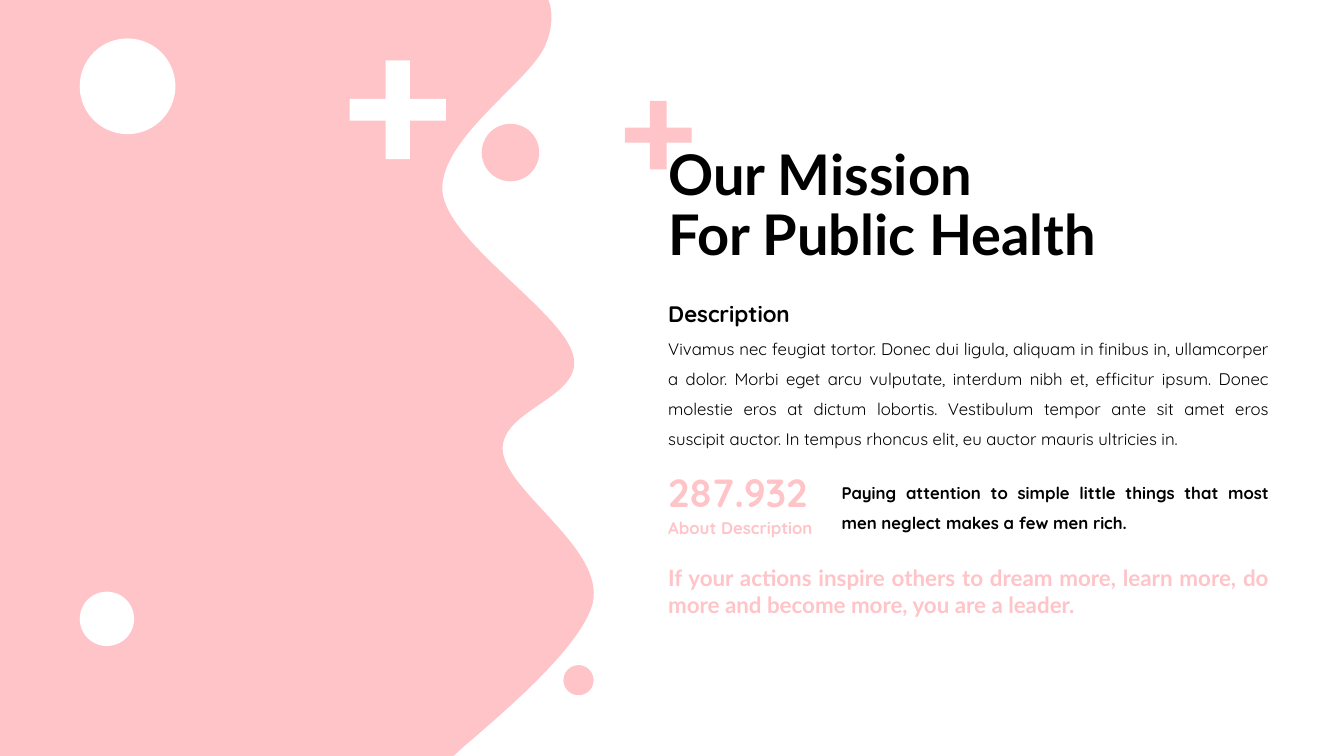
"""Build the public health mission slide."""
from pptx import Presentation
from pptx.dml.color import RGBColor
from pptx.enum.shapes import MSO_SHAPE
from pptx.enum.text import MSO_ANCHOR, MSO_AUTO_SIZE, PP_ALIGN
from pptx.oxml.ns import qn
from pptx.util import Cm, Pt

PINK = RGBColor(0xFF, 0xC4, 0xC8)
WHITE = RGBColor(0xFF, 0xFF, 0xFF)
BLACK = RGBColor(0, 0, 0)
LEFT = 16.59
CORNERS = [(0, 19.05), (0, 0), (13.82, 0), (13.87, 0.15)]
CURVES = [
    (13.92, 0.41), (13.92, 0.76), (13.72, 1.19),
    (13.31, 2.08), (11.05, 3.53), (11.15, 4.83),
    (11.28, 6.12), (14.2, 7.87), (14.45, 8.97),
    (14.71, 10.03), (12.6, 10.31), (12.67, 11.35),
    (12.75, 12.4), (15.24, 13.82), (14.94, 15.19),
    (14.68, 16.23), (12.9, 17.78), (11.68, 18.82),
]
FOOT = (11.43, 19.05)


def paint(shape, color):
    shape.shadow.inherit = False
    shape.fill.solid()
    shape.fill.fore_color.rgb = color
    shape.line.fill.background()


def add_path(slide, points, color):
    spots = [(Cm(x), Cm(y)) for x, y in points]
    pen = slide.shapes.build_freeform(*spots[0])
    pen.add_line_segments(spots[1:], close=True)
    shape = pen.convert_to_shape()
    paint(shape, color)
    return shape


def add_wave(slide):
    wave = add_path(slide, CORNERS + CURVES + [FOOT], PINK)
    lines = wave.element.xpath(".//a:lnTo")
    first = len(CORNERS) - 1
    for start in range(first, first + len(CURVES), 3):
        curve, *rest = lines[start:start + 3]
        curve.tag = qn("a:cubicBezTo")
        for line in rest:
            curve.append(line[0])
            line.getparent().remove(line)
    wave.width = Cm(14.96)
    wave.element.xpath(".//a:path")[0].set("w", str(wave.width))


def add_plus(slide, left, top, width, height, color):
    x1, x2 = left + width * 0.375, left + width * 0.625
    y1, y2 = top + height * 0.39, top + height * 0.61
    right, base = left + width, top + height
    points = [
        (x1, top), (x2, top), (x2, y1), (right, y1), (right, y2), (x2, y2),
        (x2, base), (x1, base), (x1, y2), (left, y2), (left, y1), (x1, y1),
    ]
    add_path(slide, points, color)


def add_dot(slide, left, top, size, color):
    dot = slide.shapes.add_shape(
        MSO_SHAPE.OVAL, Cm(left), Cm(top), Cm(size), Cm(size))
    paint(dot, color)


def style(frame, size, font, color, bold, align, space):
    for para in frame.paragraphs:
        para.alignment = align
        para.line_spacing = space
        for run in para.runs:
            run.font.size = Pt(size)
            run.font.name = font
            run.font.bold = bold
            run.font.color.rgb = color


def add_text(slide, box, text, size, color=BLACK, font="Quicksand",
             bold=True, space=1.0, anchor=MSO_ANCHOR.TOP):
    frame = slide.shapes.add_textbox(*map(Cm, box)).text_frame
    frame.word_wrap = True
    frame.auto_size = MSO_AUTO_SIZE.SHAPE_TO_FIT_TEXT
    frame.vertical_anchor = anchor
    frame.text = text
    style(frame, size, font, color, bold, PP_ALIGN.JUSTIFY, space)


def set_title(slide):
    title = slide.shapes.title
    title.left, title.top = Cm(LEFT), Cm(3.38)
    title.width, title.height = Cm(12.9), Cm(3.68)
    frame = title.text_frame
    frame.text = "Our Mission\vFor Public Health"
    frame.word_wrap = True
    frame.auto_size = MSO_AUTO_SIZE.NONE
    frame.vertical_anchor = MSO_ANCHOR.MIDDLE
    style(frame, 40, "Lato", BLACK, True, PP_ALIGN.LEFT, 0.9)


def main():
    deck = Presentation()
    deck.slide_width, deck.slide_height = Cm(33.87), Cm(19.05)
    slide = deck.slides.add_slide(deck.slide_layouts[5])
    add_wave(slide)
    add_plus(slide, 15.75, 2.54, 1.68, 1.73, PINK)
    add_plus(slide, 8.81, 1.52, 2.43, 2.49, WHITE)
    for left, top, size, color in [
        (2.01, 14.91, 1.37, WHITE),
        (2.01, 0.97, 2.41, WHITE),
        (14.2, 16.76, 0.76, PINK),
        (12.14, 3.12, 1.45, PINK),
    ]:
        add_dot(slide, left, top, size, color)
    set_title(slide)
    add_text(slide, (LEFT, 7.09, 7.52, 1.14), "Description", 16, space=1.5)
    add_text(
        slide, (LEFT, 8.15, 15.65, 3.33),
        "Vivamus nec feugiat tortor. Donec dui ligula, aliquam in finibus in, "
        "ullamcorper a dolor. Morbi eget arcu vulputate, interdum nibh et, "
        "efficitur ipsum. Donec molestie eros at dictum lobortis. Vestibulum "
        "tempor ante sit amet eros suscipit auctor. In tempus rhoncus elit, "
        "eu auctor mauris ultricies in.", 12, bold=False, space=1.5)
    add_text(slide, (LEFT, 11.68, 5.84, 1.45), "287.932", 28, PINK,
             anchor=MSO_ANCHOR.MIDDLE)
    add_text(slide, (LEFT, 12.93, 4.37, 0.76), "About Description", 12, PINK,
             anchor=MSO_ANCHOR.MIDDLE)
    add_text(
        slide, (20.96, 11.79, 11.28, 1.7),
        "Paying attention to simple little things that most men neglect "
        "makes a few men rich.", 12, space=1.5)
    add_text(
        slide, (LEFT, 14.1, 15.65, 1.63),
        "If your actions inspire others to dream more, learn more, do more "
        "and become more, you are a leader.", 16, PINK, "Lato")
    deck.save("out.pptx")


if __name__ == "__main__":
    main()
